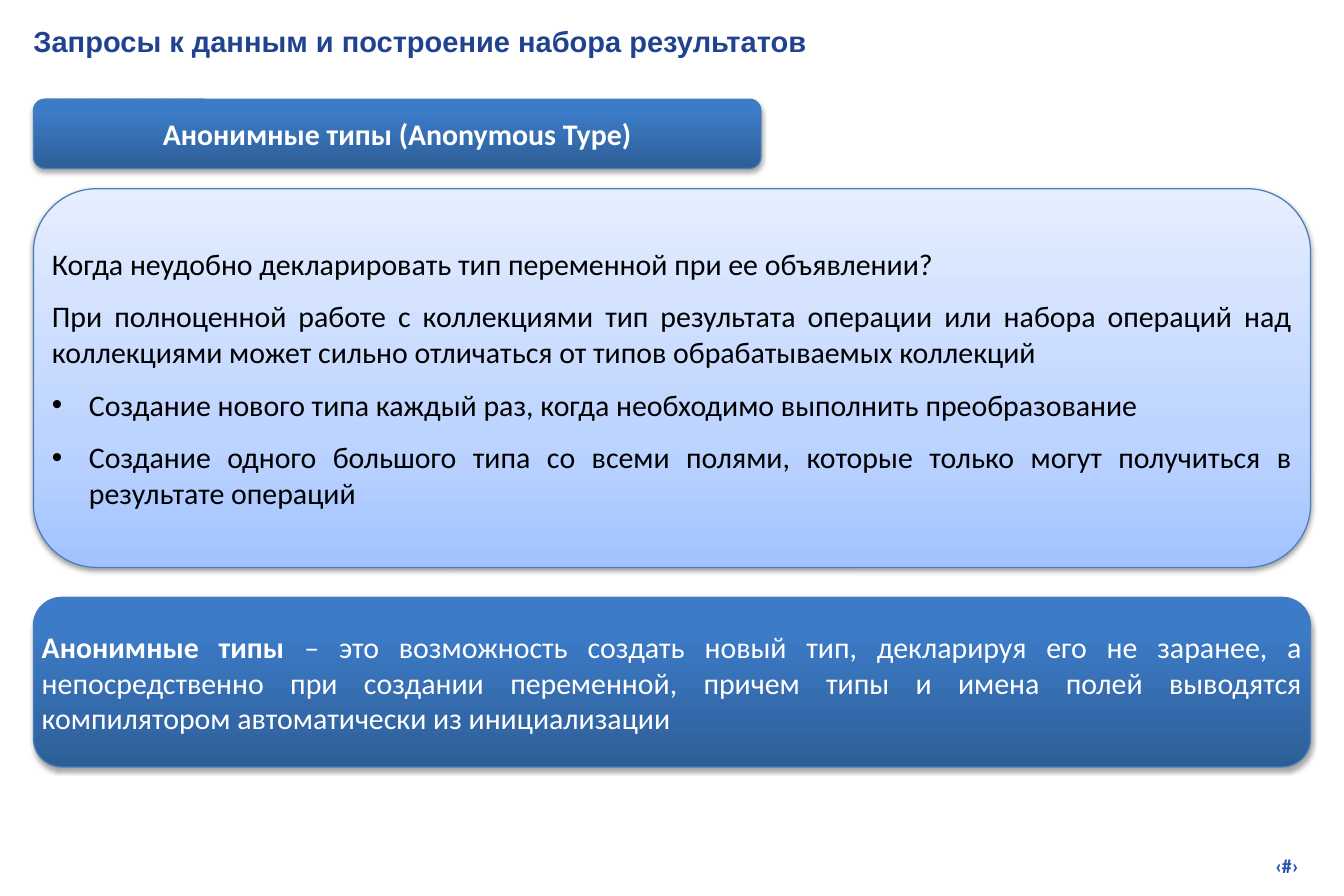
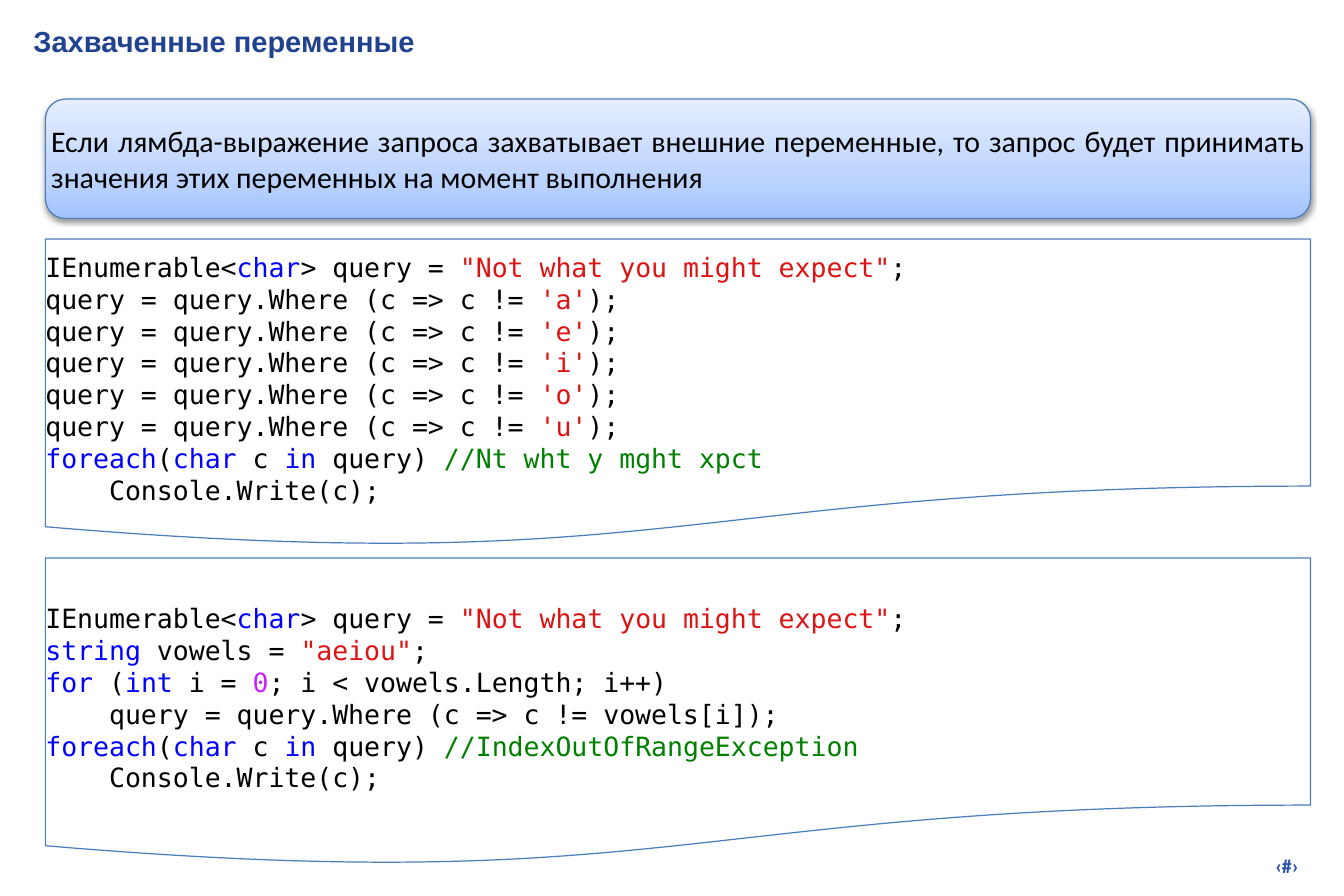
from lxml import etree
from pptx import Presentation, util as u
from pptx.dml.color import RGBColor
from pptx.enum import shapes, text
from pptx.oxml.ns import qn

COLORS = {
    "title": "21438F", "number": "2750AB", "line": "4A7EBB",
    "white": "FFFFFF", "plain": "000000", "keyword": "0000FF",
    "string": "DC1414", "digit": "C81EFA", "comment": "008000",
}
THEMES = {
    "dark": {"stops": [(0, "2E5E97"), (80, "3C7BC7"), (100, "3A7CCA")],
             "alpha": 35, "dist": 1.8, "color": "white"},
    "light": {"stops": [(0, "A2C3FF"), (35, "BDD4FF"), (100, "E6EEFF")],
              "alpha": 38, "dist": 1.6, "color": "plain"},
}
BODY = {"name": "Calibri", "size": u.Pt(18)}
CODE = {"name": "DejaVu Sans Mono", "size": u.Pt(16)}
TITLE = {"name": "Arial", "size": u.Pt(17.5), "bold": True}
NUMBER = {"name": "Calibri", "size": u.Pt(12), "bold": True}
CODE_LINE = 0.27
ALIGN = text.PP_ALIGN

QUERY = [("IEnumerable<", "plain"), ("char", "keyword"), ("> query = ", "plain"),
         ('"Not what you might expect"', "string"), (";", "plain")]
WRITE = [("    Console.Write(c);", "plain")]


def where(vowel):
    return [("query = query.Where (c => c != ", "plain"),
            (f"'{vowel}'", "string"), (");", "plain")]


def foreach(comment):
    return [("foreach", "keyword"), ("(", "plain"), ("char", "keyword"),
            (" c ", "plain"), ("in", "keyword"), (" query)", "plain"),
            (" //" + comment, "comment")]


VOWELS_CODE = [QUERY, *map(where, "aeiou"), foreach("Nt wht y mght xpct"), WRITE]
LOOP_CODE = [
    QUERY,
    [("string", "keyword"), (" vowels = ", "plain"), ('"aeiou"', "string"), (";", "plain")],
    [("for", "keyword"), (" (", "plain"), ("int", "keyword"), (" i = ", "plain"),
     ("0", "digit"), ("; i < vowels.Length; i++)", "plain")],
    [("    query = query.Where (c => c != vowels[i]);", "plain")],
    foreach("IndexOutOfRangeException"),
    WRITE,
]

SLIDES = [
    {"title": "Запросы к данным и построение набора результатов",
     "panels": [
         {"at": (0.28, 0.83, 6.09, 0.58), "theme": "dark", "align": ALIGN.CENTER,
          "lines": [{"bold": "Анонимные типы (Anonymous Type)"}]},
         {"at": (0.28, 1.58, 10.69, 3.17), "theme": "light", "lines": [
             {"text": "Когда неудобно декларировать тип переменной при ее объявлении?"},
             {"text": "При полноценной работе с коллекциями тип результата операции или "
                      "набора операций над коллекциями может сильно отличаться от типов "
                      "обрабатываемых коллекций"},
             {"bullet": True, "text": "Создание нового типа каждый раз, когда необходимо "
                                      "выполнить преобразование"},
             {"bullet": True, "text": "Создание одного большого типа со всеми полями, "
                                      "которые только могут получиться в результате операций"},
         ]},
         {"at": (0.28, 5, 10.69, 1.42), "theme": "dark", "lines": [
             {"bold": "Анонимные типы ",
              "text": "– это возможность создать новый тип, декларируя его не заранее, "
                      "а непосредственно при создании переменной, причем типы и имена полей "
                      "выводятся компилятором автоматически из инициализации"}]},
     ],
     "codes": []},
    {"title": "Захваченные переменные",
     "panels": [
         {"at": (0.38, 0.83, 10.59, 1), "theme": "light", "lines": [
             {"text": "Если лямбда-выражение запроса захватывает внешние переменные, то "
                      "запрос будет принимать значения этих переменных на момент выполнения"}]},
     ],
     "codes": [
         {"at": (0.38, 2, 10.59, 2.58), "drop": 0.1, "lines": VOWELS_CODE},
         {"at": (0.38, 4.67, 10.59, 2.58), "drop": 0.37, "lines": LOOP_CODE},
     ]},
]


def rgb(name):
    return RGBColor.from_string(COLORS[name])


def box(at):
    return [u.Inches(v) for v in at]


def setup(tf, anchor, inset=0):
    tf.word_wrap = True
    tf.vertical_anchor = anchor
    for side in ("left", "right", "top", "bottom"):
        setattr(tf, f"margin_{side}", u.Inches(inset))


def add_run(p, words, font, color):
    r = p.add_run()
    r.text = words
    for key, value in font.items():
        setattr(r.font, key, value)
    r.font.color.rgb = rgb(color)


def paragraphs(tf, items):
    for i, item in enumerate(items):
        yield (tf.add_paragraph() if i else tf.paragraphs[0]), item


def add_color(parent, value):
    return etree.SubElement(parent, qn("a:srgbClr"), val=value)


def add_outlined(s, kind, at):
    sp = s.shapes.add_shape(kind, *box(at))
    sp.shadow.inherit = False
    sp.line.color.rgb = rgb("line")
    sp.line.width = u.Pt(0.75)
    return sp


def add_bullet(p):
    pPr = p._p.get_or_add_pPr()
    pPr.set("marL", str(u.Inches(0.31)))
    pPr.set("indent", str(u.Inches(-0.31)))
    etree.SubElement(pPr, qn("a:buFont"), typeface="Arial")
    etree.SubElement(pPr, qn("a:buChar"), char="•")


def add_panel(s, panel):
    theme = THEMES[panel["theme"]]
    sp = add_outlined(s, shapes.MSO_SHAPE.ROUNDED_RECTANGLE, panel["at"])
    sp.fill.gradient()
    sp.fill.gradient_angle = 90
    spPr = sp.element.spPr
    stops = spPr.find(qn("a:gradFill")).find(qn("a:gsLst"))
    for old in list(stops):
        stops.remove(old)
    for position, value in theme["stops"]:
        add_color(etree.SubElement(stops, qn("a:gs"), pos=str(position * 1000)), value)
    shadow = etree.SubElement(
        spPr.find(qn("a:effectLst")), qn("a:outerShdw"), blurRad=str(u.Pt(3)),
        dist=str(u.Pt(theme["dist"])), dir="5400000", rotWithShape="0")
    etree.SubElement(add_color(shadow, COLORS["plain"]), qn("a:alpha"),
                     val=str(theme["alpha"] * 1000))
    tf = sp.text_frame
    setup(tf, text.MSO_ANCHOR.MIDDLE)
    for p, line in paragraphs(tf, panel["lines"]):
        if line.get("bullet"):
            add_bullet(p)
        p.alignment = panel.get("align", ALIGN.JUSTIFY)
        p.space_before = u.Pt(0 if line is panel["lines"][0] else 10)
        for key in ("bold", "text"):
            if key in line:
                add_run(p, line[key], {**BODY, "bold": key == "bold"}, theme["color"])


def add_code(s, code):
    sheet = add_outlined(s, shapes.MSO_SHAPE.FLOWCHART_DOCUMENT, code["at"])
    sheet.fill.solid()
    sheet.fill.fore_color.rgb = rgb("white")
    left, top, width, _ = code["at"]
    height = CODE_LINE * len(code["lines"])
    sp = s.shapes.add_textbox(*box((left, top + code["drop"], width, height)))
    setup(sp.text_frame, text.MSO_ANCHOR.TOP)
    for p, tokens in paragraphs(sp.text_frame, code["lines"]):
        p.alignment = ALIGN.LEFT
        for words, color in tokens:
            add_run(p, words, CODE, color)


def add_title(s, words):
    sp = s.shapes.title
    sp.left, sp.top, sp.width, sp.height = box((0.28, 0.2, 10.74, 0.4))
    setup(sp.text_frame, text.MSO_ANCHOR.TOP)
    p = sp.text_frame.paragraphs[0]
    p.alignment = ALIGN.LEFT
    add_run(p, words, TITLE, "title")


def add_number(layout, s):
    for sp in list(layout.placeholders)[1:]:
        layout.shapes.element.remove(sp.element)
    sp = s.shapes.add_textbox(*box((8.54, 7.1, 2.38, 0.31)))
    setup(sp.text_frame, text.MSO_ANCHOR.TOP, inset=0.05)
    p = sp.text_frame.paragraphs[0]
    p.alignment = ALIGN.RIGHT
    add_run(p, "‹#›", NUMBER, "number")
    layout.shapes.element.append(sp.element)


def main():
    prs = Presentation()
    prs.slide_width, prs.slide_height = u.Inches(11.25), u.Inches(7.5)
    layout = prs.slide_layouts[5]
    for i, content in enumerate(SLIDES):
        s = prs.slides.add_slide(layout)
        if i == 0:
            add_number(layout, s)
        add_title(s, content["title"])
        for panel in content["panels"]:
            add_panel(s, panel)
        for code in content["codes"]:
            add_code(s, code)
    prs.save("out.pptx")


if __name__ == "__main__":
    main()
